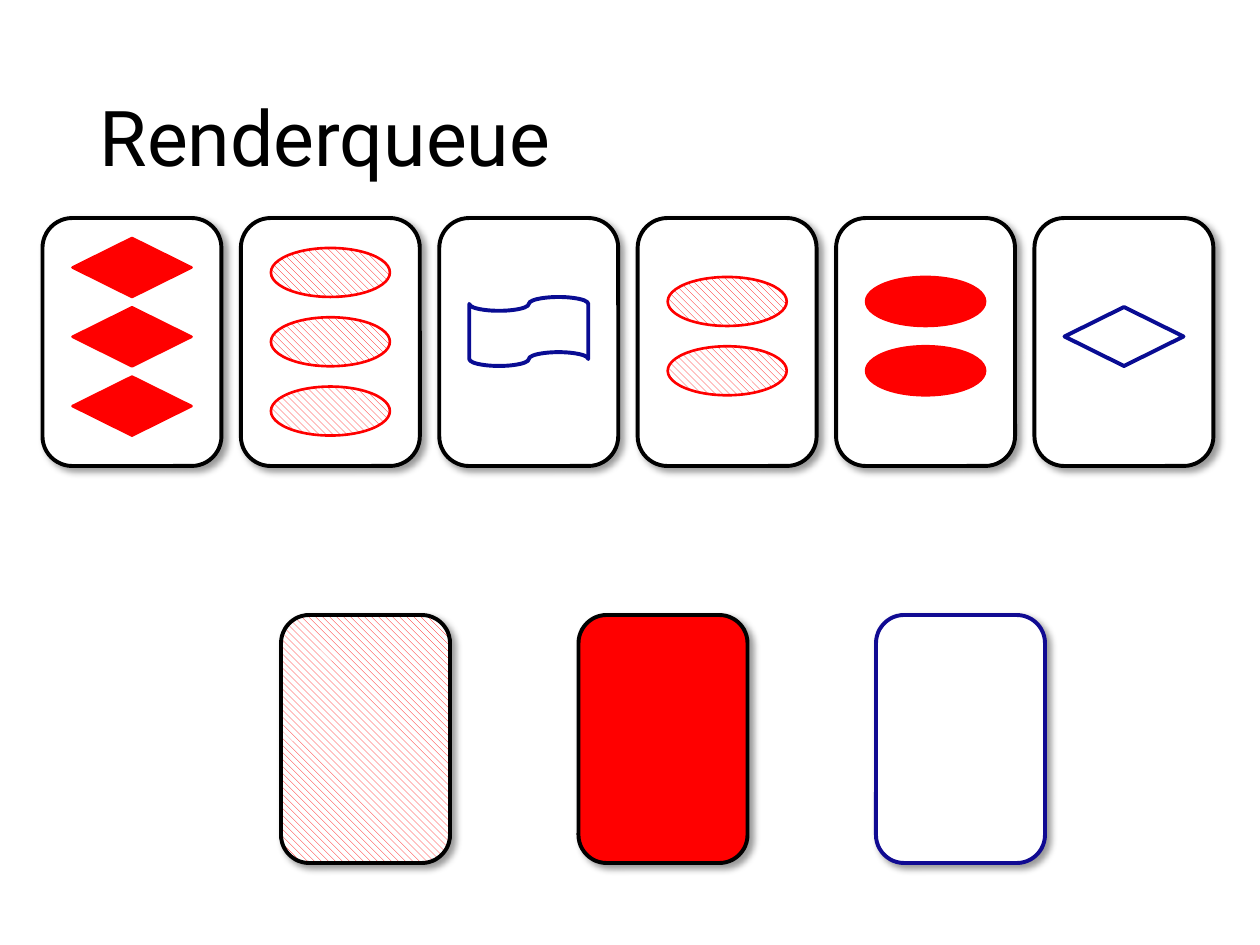
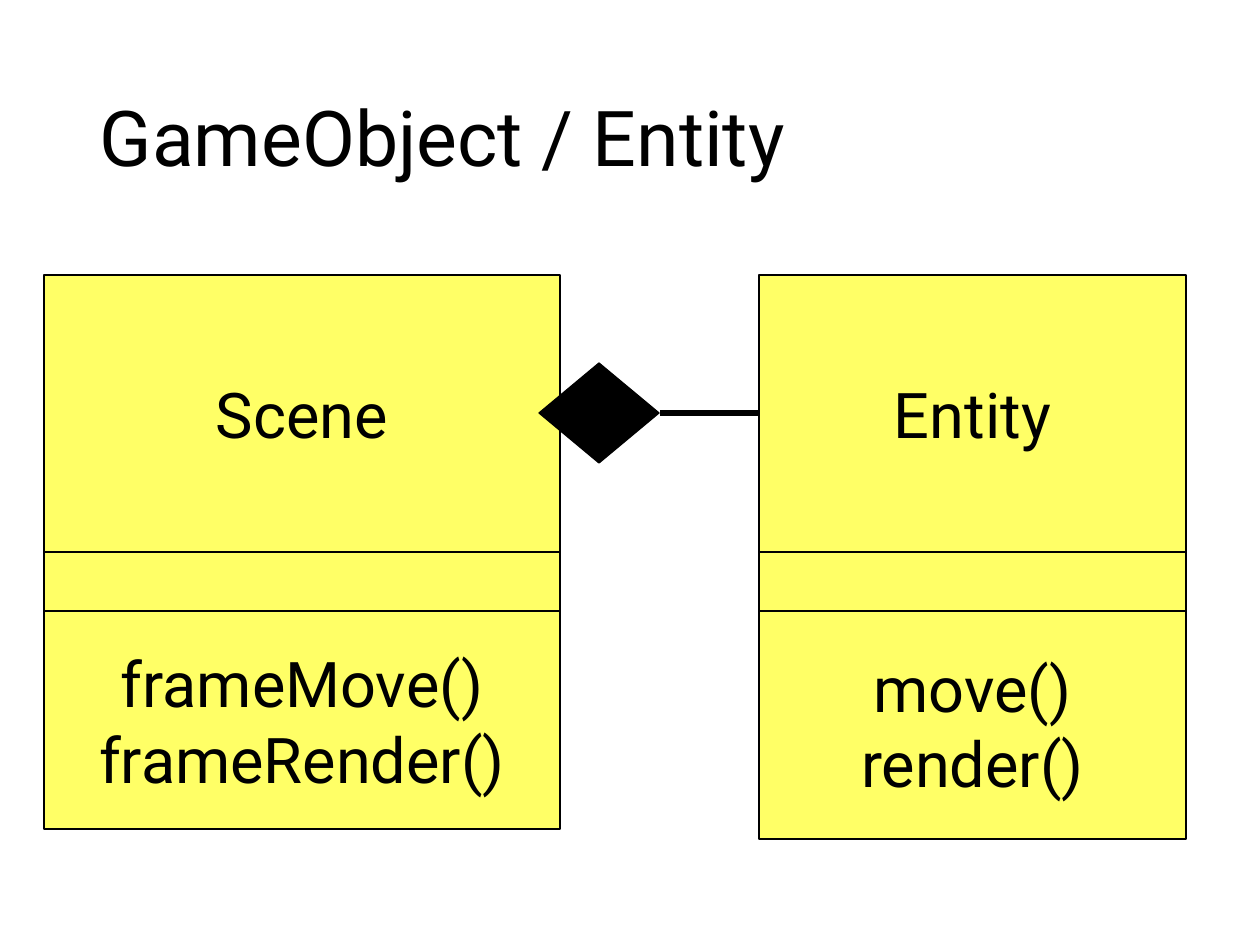
from collections import namedtuple
from lxml.etree import SubElement
from pptx import Presentation
from pptx.dml.color import RGBColor
from pptx.enum.dml import MSO_PATTERN as Pattern
from pptx.enum.shapes import MSO_CONNECTOR as Connector, MSO_SHAPE as Shape
from pptx.enum.text import MSO_ANCHOR as Anchor, MSO_AUTO_SIZE as AutoSize, PP_ALIGN as Align
from pptx.oxml.ns import qn
from pptx.util import Pt

PIXEL = 914400 / 126
Theme = namedtuple("Theme", "font black white red navy ink yellow title body hair thin thick heavy")
theme = Theme("Roboto", "000000", "FFFFFF", "FF0000", "090C93", "100A92", "FFFF66",
              44, 36, 0.75, 1.5, 2.25, 3)
Style = namedtuple("Style", "fill line width")
HATCH = "hatch"
PLAIN = Style(theme.white, theme.black, theme.thick)
HATCHED = Style(HATCH, theme.red, theme.thin)
SOLID = Style(theme.red, theme.red, theme.thin)
OUTLINE = Style(theme.white, theme.navy, theme.thick)
CLASS_BOX = Style(theme.yellow, theme.black, theme.hair)

TITLES = ["Renderqueue", "GameObject / Entity"]
TITLE_BOX = (87, 50, 1086, 183)

TOKEN_HEIGHTS = {Shape.DIAMOND: 59, Shape.OVAL: 49, Shape.FLOWCHART_PUNCHED_TAPE: 69}
TOKEN_WIDTH, TOKEN_PITCH = 119, 69.3
CARDS = [
    (Shape.DIAMOND, SOLID, 3, 238),
    (Shape.OVAL, HATCHED, 3, 248),
    (Shape.FLOWCHART_PUNCHED_TAPE, OUTLINE, 1, 297),
    (Shape.OVAL, HATCHED, 2, 277),
    (Shape.OVAL, SOLID, 2, 277),
    (Shape.DIAMOND, OUTLINE, 1, 307),
]
CARD_LEFT, CARD_TOP, CARD_WIDTH, CARD_HEIGHT, CARD_PITCH = 42.5, 218, 179, 248, 198.4
BINS = [
    Style(HATCH, theme.black, theme.thick),
    Style(theme.red, theme.black, theme.thick),
    Style(theme.white, theme.ink, theme.thick),
]
BIN_LEFT, BIN_TOP, BIN_WIDTH, BIN_PITCH = 281, 615, 169, 297.5

CLASSES = [
    (44, 516, 829, ["Scene"], ["frameMove()", "frameRender()"]),
    (759, 427, 839, ["Entity"], ["move()", "render()"]),
]
NAME_TOP, FIELDS_TOP, METHODS_TOP = 275, 552, 611
AGGREGATION = (539, 363, 120, 100)
LINK = (660, 413, 759, 413)


def emu(pixels):
    return round(pixels * PIXEL)


def color(value):
    return RGBColor.from_string(value)


def format_text(paragraph, size):
    for run in paragraph.runs:
        run.font.name = theme.font
        run.font.size = Pt(size)
        run.font.color.rgb = color(theme.black)


def add_shadow(shape):
    effects = shape._element.spPr.find(qn("a:effectLst"))
    shadow = SubElement(effects, qn("a:outerShdw"), blurRad=str(Pt(4)), dist=str(Pt(3)),
                        dir=str(45 * 60000), algn="tl", rotWithShape="0")
    tint = SubElement(shadow, qn("a:srgbClr"), val=theme.black)
    SubElement(tint, qn("a:alpha"), val="40000")


def draw(shapes, kind, box, style, shadow=False, lines=()):
    shape = shapes.add_shape(kind, *map(emu, box))
    shape.shadow.inherit = False
    if style.fill == HATCH:
        shape.fill.patterned()
        shape.fill.pattern = Pattern.WIDE_DOWNWARD_DIAGONAL
        shape.fill.fore_color.rgb = color(theme.red)
        shape.fill.back_color.rgb = color(theme.white)
    else:
        shape.fill.solid()
        shape.fill.fore_color.rgb = color(style.fill)
    shape.line.color.rgb = color(style.line)
    shape.line.width = Pt(style.width)
    if shadow:
        add_shadow(shape)
    if lines:
        shape.text_frame.text = "\n".join(lines)
        shape.text_frame.vertical_anchor = Anchor.MIDDLE
        for paragraph in shape.text_frame.paragraphs:
            paragraph.alignment = Align.CENTER
            format_text(paragraph, theme.body)


def add_slide(presentation, text):
    slide = presentation.slides.add_slide(presentation.slide_layouts[5])
    title = slide.shapes.title
    title.left, title.top, title.width, title.height = map(emu, TITLE_BOX)
    title.text_frame.text = text
    title.text_frame.auto_size = AutoSize.NONE
    title.text_frame.vertical_anchor = Anchor.MIDDLE
    paragraph = title.text_frame.paragraphs[0]
    paragraph.alignment = Align.LEFT
    paragraph.line_spacing = 0.9
    format_text(paragraph, theme.title)
    return slide


def draw_queue(slide):
    for index, style in enumerate(BINS):
        box = (BIN_LEFT + index * BIN_PITCH, BIN_TOP, BIN_WIDTH, CARD_HEIGHT)
        draw(slide.shapes, Shape.ROUNDED_RECTANGLE, box, style, shadow=True)
    for index, (kind, style, count, first_top) in enumerate(CARDS):
        card = slide.shapes.add_group_shape().shapes
        left = CARD_LEFT + index * CARD_PITCH
        draw(card, Shape.ROUNDED_RECTANGLE, (left, CARD_TOP, CARD_WIDTH, CARD_HEIGHT),
             PLAIN, shadow=True)
        token_left = left + (CARD_WIDTH - TOKEN_WIDTH) / 2
        for row in range(count):
            top = first_top + row * TOKEN_PITCH
            draw(card, kind, (token_left, top, TOKEN_WIDTH, TOKEN_HEIGHTS[kind]), style)


def draw_classes(slide):
    for left, width, bottom, name, methods in CLASSES:
        edges = [NAME_TOP, FIELDS_TOP, METHODS_TOP, bottom]
        for top, end, lines in zip(edges, edges[1:], [name, [], methods]):
            draw(slide.shapes, Shape.RECTANGLE, (left, top, width, end - top),
                 CLASS_BOX, lines=lines)
    link = slide.shapes.add_connector(Connector.STRAIGHT, *map(emu, LINK))
    link.line.color.rgb = color(theme.black)
    link.line.width = Pt(theme.heavy)
    SubElement(link._element.spPr, qn("a:effectLst"))
    draw(slide.shapes, Shape.DIAMOND, AGGREGATION, Style(theme.black, theme.black, theme.hair))


presentation = Presentation()
presentation.slide_width, presentation.slide_height = emu(1260), emu(945)
for text, draw_content in zip(TITLES, [draw_queue, draw_classes]):
    draw_content(add_slide(presentation, text))
presentation.save("out.pptx")
